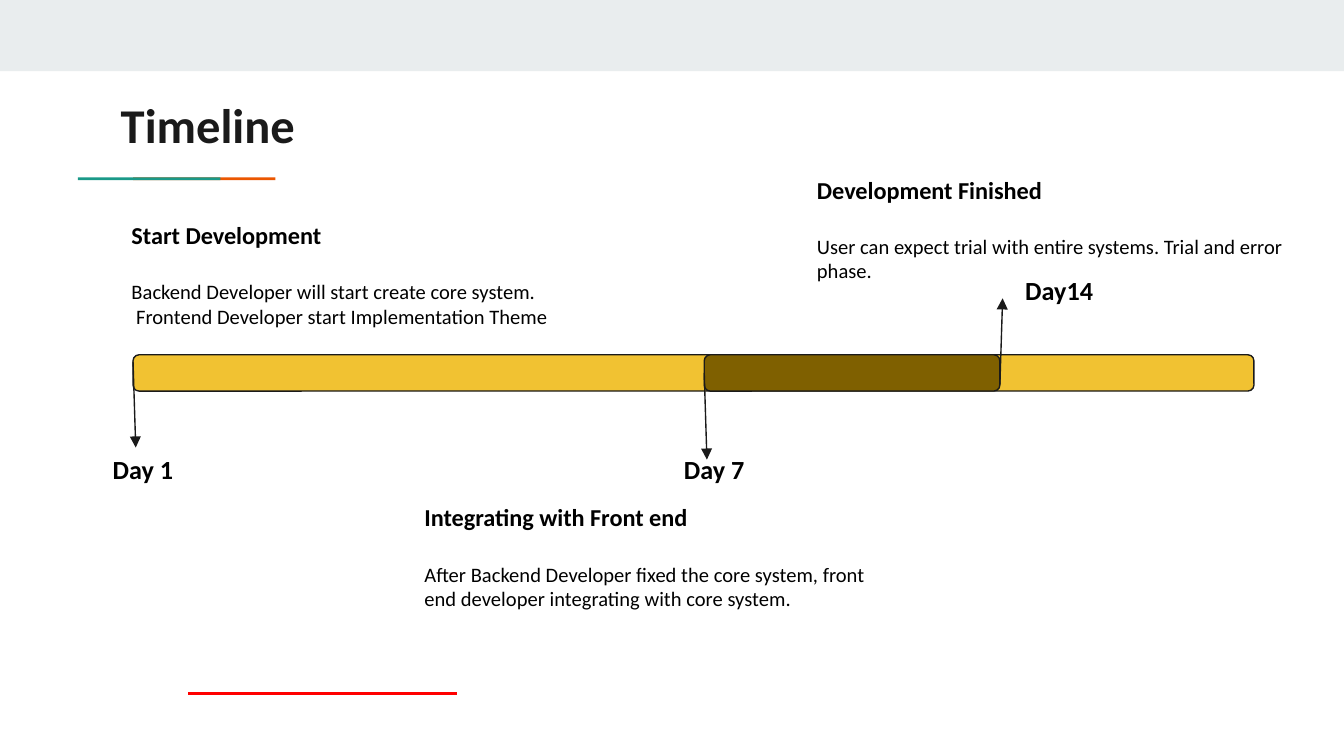
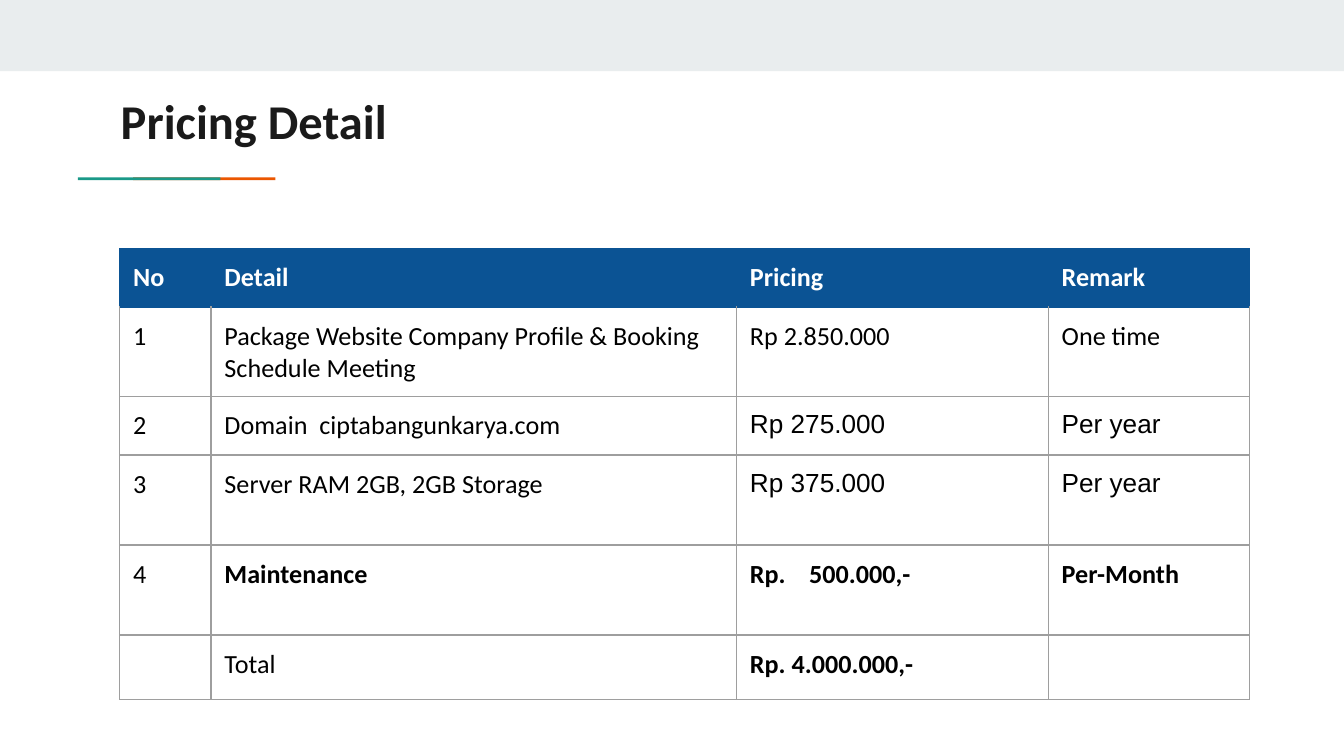
"""Build the project timeline and pricing detail slides."""
import pptx
import pptx.dml.color
import pptx.enum.shapes
import pptx.oxml
import pptx.oxml.ns
import pptx.util
from lxml import etree

Inches = pptx.util.Inches
Pt = pptx.util.Pt
MSO_SHAPE = pptx.enum.shapes.MSO_SHAPE

COLORS = {
    "band": "E9EDEE", "teal": "1A9988", "orange": "EB5600", "ink": "1A1A1A",
    "black": "000000", "white": "FFFFFF", "red": "FF0000", "gold": "F1C232",
    "brown": "7F6000", "header": "0B5394", "grid": "9E9E9E",
}
FONT = "Calibri"
ACCENTS = [("orange", 0.99), ("teal", 0.58)]

BARS = {"project": (0.99, 8.34, "gold"), "integration": (5.24, 2.2, "brown")}
BAR_TOP, BAR_HEIGHT = 2.64, 0.27
PHASES = [
    ("Start Development",
     ["Backend Developer will start create core system.",
      " Frontend Developer start Implementation Theme"], (0.88, 1.54, 3.75, 0.94)),
    ("Integrating with Front end",
     ["After Backend Developer fixed the core system, front end developer "
      "integrating with core system."], (3.06, 3.64, 3.73, 0.94)),
    ("Development Finished",
     ["User can expect trial with entire systems. Trial and error phase."],
     (5.98, 1.2, 3.75, 0.71)),
]
DAYS = [
    ("Day 1", (0.74, 3.27, 0.7, 0.44), (0.99, 2.69), (1.01, 3.33), None),
    ("Day 7", (4.99, 3.27, 0.89, 0.44), (5.24, 2.77), (5.26, 3.42), "integration"),
    ("Day14", (7.53, 1.94, 0.89, 0.44), (7.44, 2.86), (7.46, 2.22), None),
]
CLOSING_RULE = ((1.4, 5.16), (3.4, 5.16))

PRICES = [
    ("No", "Detail", "Pricing", "Remark"),
    ("1", "Package Website Company Profile & Booking Schedule Meeting",
     "Rp 2.850.000", "One time"),
    ("2", "Domain  ciptabangunkarya.com", "Rp 275.000", "Per year"),
    ("3", "Server RAM 2GB, 2GB Storage", "Rp 375.000", "Per year"),
    ("4", "Maintenance", "Rp.\t500.000,-", "Per-Month"),
    ("", "Total", "Rp. 4.000.000,-", ""),
]
COLUMN_WIDTHS = [0.68, 3.91, 2.32, 1.5]
ROW_HEIGHTS = [0.43, 0.45, 0.43, 0.67, 0.67, 0.48]
BOLD_CELLS = {(4, 1), (4, 2), (4, 3), (5, 2)}
ARIAL_CELLS = {(2, 2), (2, 3), (3, 2), (3, 3)}
AMOUNT_TAB = 0.44


def rgb(name):
    return pptx.dml.color.RGBColor.from_string(COLORS[name])


def style(font, size, color="black", bold=False, name=FONT):
    font.name, font.size, font.bold = name, Pt(size), bold
    font.color.rgb = rgb(color)


def set_margins(frame):
    frame.margin_left = frame.margin_right = Inches(0.1)
    frame.margin_top = frame.margin_bottom = Inches(0.1)


def add_block(slide, box, shape_type, fill, outline=None):
    block = slide.shapes.add_shape(shape_type, *map(Inches, box))
    block.shadow.inherit = False
    block.fill.solid()
    block.fill.fore_color.rgb = rgb(fill)
    if outline:
        block.line.color.rgb = rgb(outline)
        block.line.width = Pt(0.75)
    else:
        block.line.fill.background()
    return block


def add_text(slide, box, lines):
    """Add a text box of (text, size, color, bold, space before) lines."""
    frame = slide.shapes.add_textbox(*map(Inches, box)).text_frame
    frame.word_wrap = True
    set_margins(frame)
    frame.text = "\n".join(line[0] for line in lines)
    for paragraph, (_, size, color, bold, gap) in zip(frame.paragraphs, lines):
        if gap:
            paragraph.space_before = Pt(gap)
        for run in paragraph.runs:
            style(run.font, size, color, bold)


def add_line(slide, start, end, color, width, arrow=False):
    line = slide.shapes.add_connector(
        pptx.enum.shapes.MSO_CONNECTOR.STRAIGHT, *map(Inches, start + end))
    line.line.color.rgb = rgb(color)
    line.line.width = Pt(width)
    properties = line._element.spPr
    if arrow:
        outline = properties.find(pptx.oxml.ns.qn("a:ln"))
        etree.SubElement(outline, pptx.oxml.ns.qn("a:tailEnd"), type="triangle")
    etree.SubElement(properties, pptx.oxml.ns.qn("a:effectLst"))
    return line


def add_titled_slide(deck, title, top):
    slide = deck.slides.add_slide(deck.slide_layouts[6])
    add_block(slide, (0, 0, 10, 0.53), MSO_SHAPE.RECTANGLE, "band")
    for color, left in ACCENTS:
        add_block(slide, (left, 1.32, 1.06, 0.02), MSO_SHAPE.RECTANGLE, color)
    add_text(slide, (0.8, top, 8.41, 0.59), [(title, 26, "ink", True, 0)])
    return slide


def build_timeline(deck):
    slide = add_titled_slide(deck, "Timeline", 0.61)
    add_line(slide, *CLOSING_RULE, "red", 1.5)
    bars = {}
    for name, (left, width, fill) in BARS.items():
        bars[name] = add_block(slide, (left, BAR_TOP, width, BAR_HEIGHT),
                               MSO_SHAPE.ROUNDED_RECTANGLE, fill, "ink")
    for heading, details, box in PHASES:
        lines = [(heading, 13, "black", True, 0)]
        lines += [(detail, 11, "black", False, 0 if index else 16)
                  for index, detail in enumerate(details)]
        add_text(slide, box, lines)
    for day, box, start, end, bar in DAYS:
        arrow = add_line(slide, start, end, "ink", 0.75, arrow=True)
        if bar:
            arrow.begin_connect(bars[bar], 1)
        add_text(slide, box, [(day, 14, "black", True, 0)])


def set_borders(cell, colors):
    properties = cell._tc.get_or_add_tcPr()
    for index, (side, color) in enumerate(colors.items()):
        properties.insert(index, pptx.oxml.parse_xml(
            f'<a:{side} {pptx.oxml.ns.nsdecls("a")} w="{Pt(0.75)}"><a:solidFill>'
            f'<a:srgbClr val="{COLORS[color]}"/></a:solidFill></a:{side}>'))


def write_cell(paragraph, text, color, bold, font_name):
    if not text:
        etree.SubElement(paragraph._p, pptx.oxml.ns.qn("a:endParaRPr"), sz="1400")
        return
    if "\t" in text:
        paragraph._p.get_or_add_pPr().append(pptx.oxml.parse_xml(
            f'<a:tabLst {pptx.oxml.ns.nsdecls("a")}>'
            f'<a:tab pos="{Inches(AMOUNT_TAB)}" algn="l"/></a:tabLst>'))
    run = paragraph.add_run()
    run.text = text
    style(run.font, 14, color, bold, font_name)


def fill_cell(cell, text, row, column):
    header = row == 0
    set_margins(cell)
    write_cell(cell.text_frame.paragraphs[0], text,
               "white" if header else "black",
               header or (row, column) in BOLD_CELLS,
               "Arial" if (row, column) in ARIAL_CELLS else FONT)
    if header:
        cell.fill.solid()
        cell.fill.fore_color.rgb = rgb("header")
    else:
        cell.fill.background()
    edge = "header" if header else "grid"
    set_borders(cell, {"lnL": edge, "lnR": edge,
                       "lnT": "header" if row < 2 else "grid", "lnB": edge})


def build_pricing(deck):
    slide = add_titled_slide(deck, "Pricing Detail", 0.58)
    prices = slide.shapes.add_table(
        len(PRICES), len(COLUMN_WIDTHS), Inches(0.89), Inches(1.85),
        Inches(sum(COLUMN_WIDTHS)), Inches(sum(ROW_HEIGHTS))).table
    prices.first_row = prices.horz_banding = False
    for column, width in zip(prices.columns, COLUMN_WIDTHS):
        column.width = Inches(width)
    for row, height in zip(prices.rows, ROW_HEIGHTS):
        row.height = Inches(height)
    for row, texts in enumerate(PRICES):
        for column, text in enumerate(texts):
            fill_cell(prices.cell(row, column), text, row, column)


def main():
    deck = pptx.Presentation()
    deck.slide_width = Inches(10)
    deck.slide_height = deck.slide_width * 9 // 16
    build_timeline(deck)
    build_pricing(deck)
    deck.save("out.pptx")


if __name__ == "__main__":
    main()
